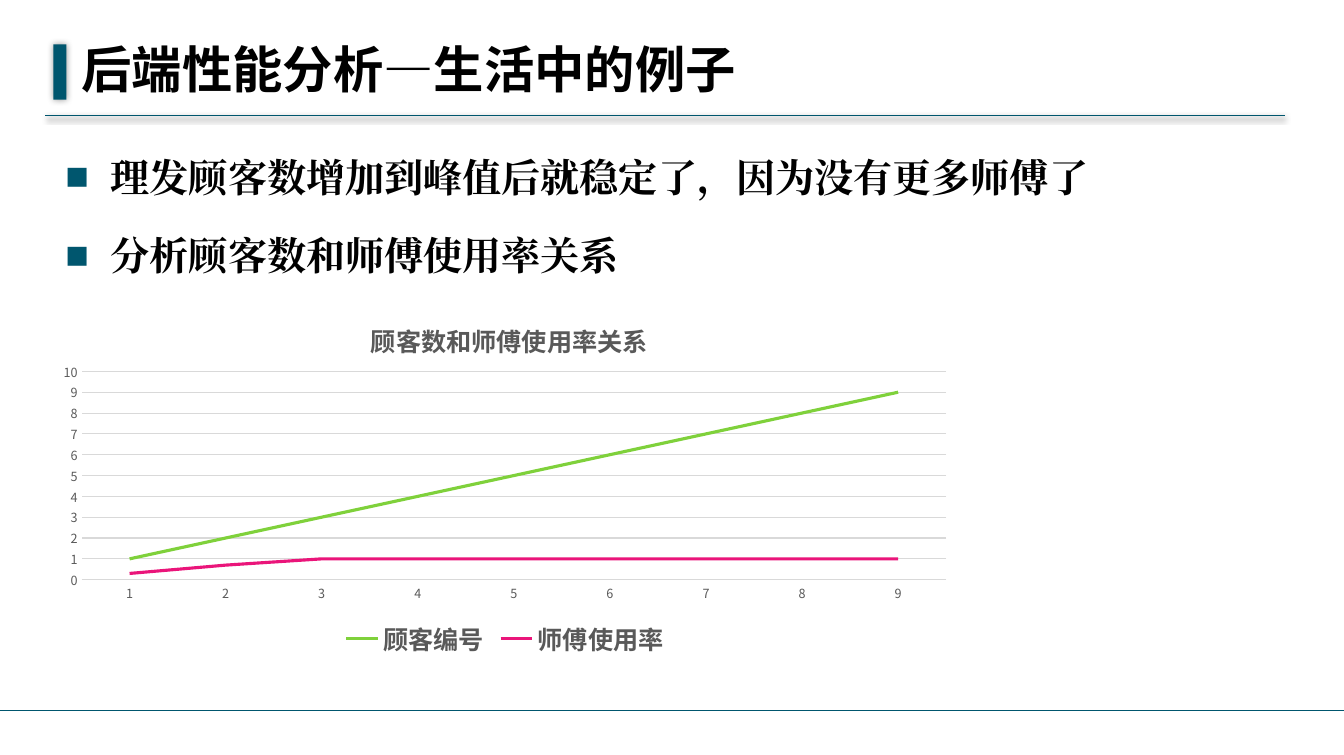
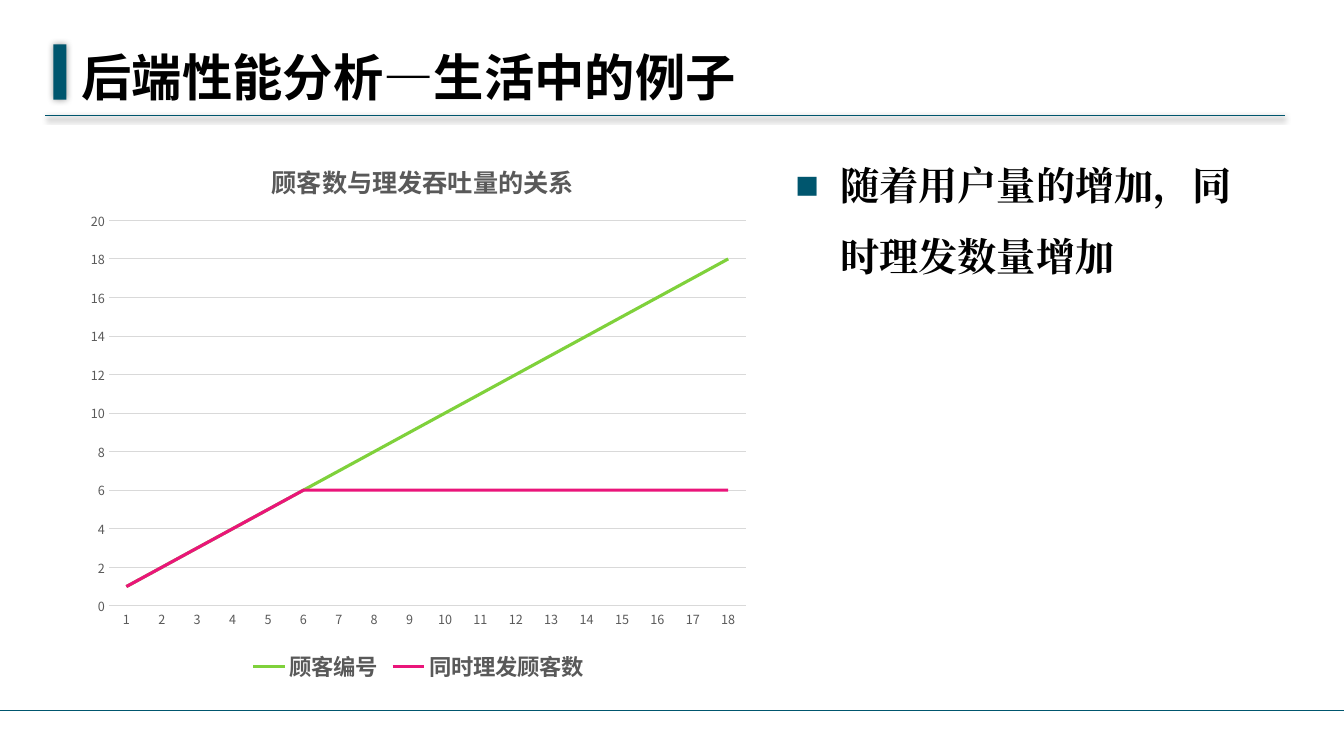
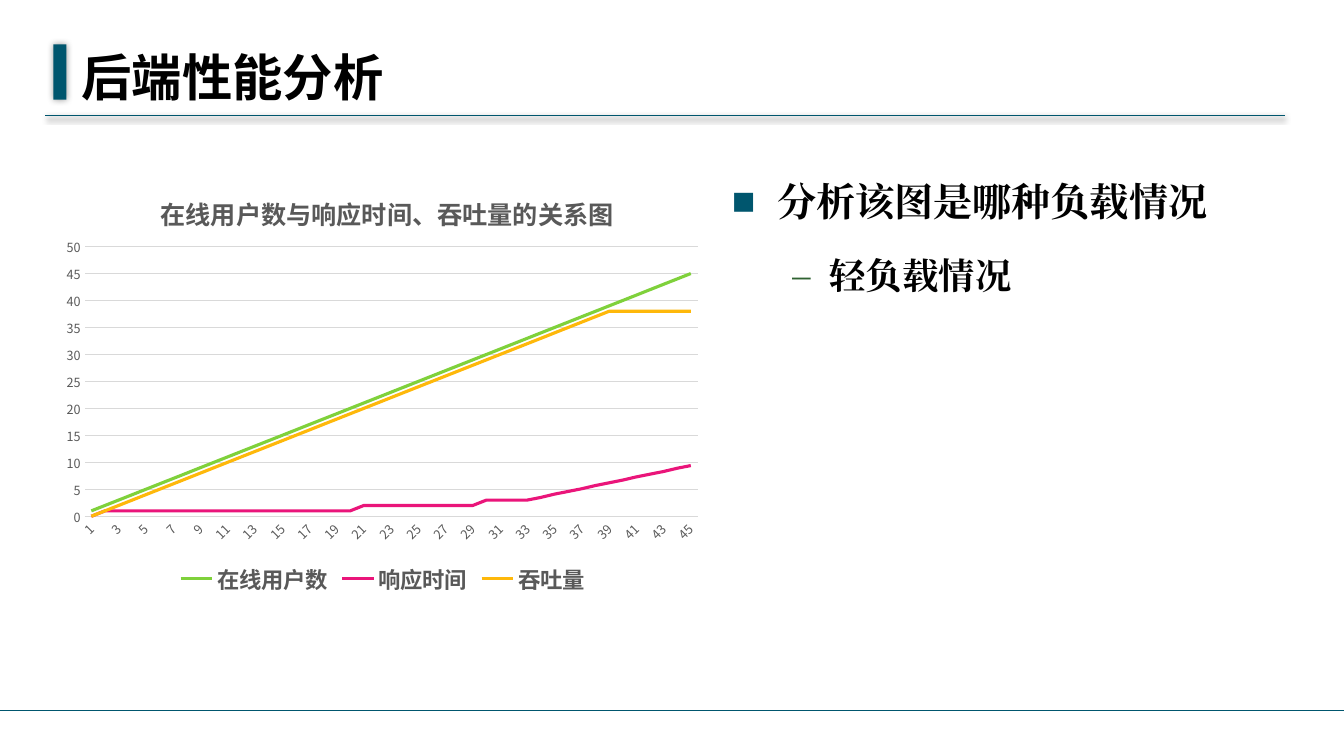
import lxml.etree
import pptx
import pptx.chart.data
import pptx.dml.color
import pptx.enum.chart
import pptx.enum.lang
import pptx.enum.shapes
import pptx.enum.text
import pptx.oxml.ns
import pptx.util

Inches, Pt = pptx.util.Inches, pptx.util.Pt
RGB = pptx.dml.color.RGBColor
qn = pptx.oxml.ns.qn

TEAL = RGB(0x00, 0x56, 0x6E)
DARK_GREEN = RGB(0x2F, 0x62, 0x31)
BLACK = RGB(0, 0, 0)
GREY = RGB(0x59, 0x59, 0x59)
GRID = RGB(0xD9, 0xD9, 0xD9)
SERIES_COLORS = [RGB(0x7F, 0xD1, 0x3B), RGB(0xEA, 0x15, 0x7A), RGB(0xFE, 0xB8, 0x0A)]
SANS, SERIF = "Noto Sans CJK SC", "Times New Roman"
WIDTH, HEIGHT = 13.35, 7.5

LEVELS = [
    {"size": 28, "bullet": "■", "color": TEAL, "margin": 0.45, "indent": -0.45},
    {"size": 26, "bullet": "–", "color": DARK_GREEN, "margin": 0.97, "indent": -0.37},
]

SLIDES = [
    {
        "title": "后端性能分析—生活中的例子",
        "title_top": 0.36,
        "body_at": (0.53, 1.23, 12.01, 5.51),
        "body": [(0, "理发顾客数增加到峰值后就稳定了，因为没有更多师傅了"),
                 (0, "分析顾客数和师傅使用率关系")],
        "chart": {
            "title": "顾客数和师傅使用率关系",
            "at": (0.45, 2.88, 9.13, 3.7),
            "plot": (0.81, 3.69, 8.59, 2.07),
            "max": 10, "unit": 1, "legend": 18, "rotation": 0,
            "series": [("顾客编号", list(range(1, 10))),
                       ("师傅使用率", [0.3, 0.7] + [1] * 7)],
        },
    },
    {
        "title": "后端性能分析—生活中的例子",
        "title_top": 0.44,
        "body_at": (7.78, 1.31, 4.9, 5.51),
        "body": [(0, "随着用户量的增加，同时理发数量增加")],
        "chart": {
            "title": "顾客数与理发吞吐量的关系",
            "at": (0.77, 1.31, 6.77, 5.51),
            "plot": (1.08, 2.19, 6.33, 3.83),
            "max": 20, "unit": 2, "legend": 16, "rotation": 0,
            "series": [("顾客编号", list(range(1, 19))),
                       ("同时理发顾客数", [min(n, 6) for n in range(1, 19)])],
        },
    },
    {
        "title": "后端性能分析",
        "title_top": 0.44,
        "body_at": (7.15, 1.47, 5.6, 5.51),
        "body": [(0, "分析该图是哪种负载情况"), (1, "轻负载情况")],
        "chart": {
            "title": "在线用户数与响应时间、吞吐量的关系图",
            "at": (0.53, 1.62, 6.54, 4.33),
            "plot": (0.84, 2.45, 6.09, 2.68),
            "max": 50, "unit": 5, "legend": 16, "rotation": -45,
            "series": [("在线用户数", list(range(1, 46))),
                       ("响应时间", [0] + [1] * 19 + [2] * 9 + [3] * 4
                        + [3.5, 4.1, 4.6, 5.1, 5.7, 6.2, 6.7, 7.3, 7.8, 8.3, 8.9, 9.4]),
                       ("吞吐量", [min(n, 38) for n in range(45)])],
        },
    },
]


def apply(obj, **values):
    for name, value in values.items():
        setattr(obj, name, value)


def style_font(font, size, color, bold, name):
    apply(font, size=Pt(size), bold=bold, name=name)
    font.color.rgb = color


def add_xml(parent, tag, **attrs):
    return lxml.etree.SubElement(parent, qn(tag), {k: str(v) for k, v in attrs.items()})


def set_effects(sp, alpha=0, blur=0, dist=0, angle=0):
    effects = add_xml(sp.element.spPr, "a:effectLst")
    if alpha:
        shadow = add_xml(effects, "a:outerShdw", blurRad=Pt(blur), dist=Pt(dist),
                         dir=angle * 60000, algn="ctr", rotWithShape=0)
        color = add_xml(shadow, "a:srgbClr", val=BLACK)
        add_xml(color, "a:alpha", val=alpha * 1000)


def add_rule(s, left, right, top, **shadow):
    sp = s.shapes.add_connector(pptx.enum.shapes.MSO_CONNECTOR.STRAIGHT,
                                Inches(left), Inches(top), Inches(right), Inches(top))
    sp.line.color.rgb = TEAL
    sp.line.width = Pt(1)
    set_effects(sp, **shadow)
    return sp


def decorate_layout(layout, s):
    bar = s.shapes.add_shape(pptx.enum.shapes.MSO_SHAPE.RECTANGLE,
                             Inches(0.53), Inches(0.44), Inches(0.13), Inches(0.55))
    bar.fill.solid()
    bar.fill.fore_color.rgb = TEAL
    bar.line.fill.background()
    set_effects(bar, alpha=40, blur=5)
    title_rule = add_rule(s, 0.45, 12.76, 1.15, alpha=42, blur=4, dist=1.6, angle=90)
    footer_rule = add_rule(s, 0, WIDTH, 7.06)
    for sp in (title_rule, bar, footer_rule):
        layout.element.cSld.spTree.append(sp.element)


def place(sp, at, anchor):
    apply(sp, **dict(zip(("left", "top", "width", "height"), map(Inches, at))))
    apply(sp.text_frame, word_wrap=True, auto_size=pptx.enum.text.MSO_AUTO_SIZE.NONE,
          vertical_anchor=anchor, margin_left=Inches(0.12), margin_right=Inches(0.12),
          margin_top=Inches(0.06), margin_bottom=Inches(0.06))


def write(p, text, size, name):
    p.alignment = pptx.enum.text.PP_ALIGN.LEFT
    r = p.add_run()
    r.text = text
    style_font(r.font, size, BLACK, True, name)
    r.font.language_id = pptx.enum.lang.MSO_LANGUAGE_ID.SIMPLIFIED_CHINESE
    add_xml(r.font._element, "a:ea", typeface=name)


def fill_body(sp, items):
    tf = sp.text_frame
    for i, (level, text) in enumerate(items):
        p = tf.add_paragraph() if i else tf.paragraphs[0]
        fmt = LEVELS[level]
        pPr = p._p.get_or_add_pPr()
        pPr.set("marL", str(Inches(fmt["margin"])))
        pPr.set("indent", str(Inches(fmt["indent"])))
        add_xml(add_xml(pPr, "a:buClr"), "a:srgbClr", val=fmt["color"])
        add_xml(pPr, "a:buFont", typeface=SERIF)
        add_xml(pPr, "a:buChar", char=fmt["bullet"])
        apply(p, level=level, line_spacing=1.5,
              space_before=Pt(0.2 * fmt["size"] if i else 0))
        write(p, text, fmt["size"], SERIF)


def set_layout(parent, index, **values):
    for old in parent.findall(qn("c:layout")):
        parent.remove(old)
    layout = add_xml(parent, "c:layout")
    manual = add_xml(layout, "c:manualLayout")
    for tag, value in values.items():
        add_xml(manual, "c:" + tag, val=value)
    parent.insert(index, layout)


def add_line_chart(s, info):
    data = pptx.chart.data.CategoryChartData()
    data.categories = [str(n + 1) for n in range(len(info["series"][0][1]))]
    for name, values in info["series"]:
        data.add_series(name, values)
    left, top, width, height = info["at"]
    chart = s.shapes.add_chart(pptx.enum.chart.XL_CHART_TYPE.LINE,
                               *map(Inches, info["at"]), data).chart
    style_font(chart.font, 10, BLACK, False, SANS)
    chart.plots[0].vary_by_categories = False
    for series, color in zip(chart.plots[0].series, SERIES_COLORS):
        series.smooth = False
        series.format.line.color.rgb = color
        series.format.line.width = Pt(2.25)

    chart.has_title = True
    p = chart.chart_title.text_frame.paragraphs[0]
    r = p.add_run()
    r.text = info["title"]
    style_font(r.font, 18, GREY, True, SANS)

    chart.has_legend = True
    apply(chart.legend, position=pptx.enum.chart.XL_LEGEND_POSITION.BOTTOM,
          include_in_layout=False)
    style_font(chart.legend.font, info["legend"], GREY, True, SANS)

    cat, val = chart.category_axis, chart.value_axis
    for axis in (cat, val):
        apply(axis, major_tick_mark=pptx.enum.chart.XL_TICK_MARK.NONE,
              minor_tick_mark=pptx.enum.chart.XL_TICK_MARK.NONE)
        style_font(axis.tick_labels.font, 9, GREY, False, SANS)
    apply(val, minimum_scale=0, maximum_scale=info["max"], major_unit=info["unit"],
          has_major_gridlines=True)
    val.format.line.fill.background()
    for line in (cat.format.line, val.major_gridlines.format.line):
        line.color.rgb = GRID
        line.width = Pt(0.75)

    root = chart.element
    if info["rotation"]:
        root.xpath("//c:catAx/c:txPr/a:bodyPr")[0].set("rot", str(info["rotation"] * 60000))
    for latin in root.xpath("//a:latin"):
        ea = add_xml(latin.getparent(), "a:ea", typeface=SANS)
        latin.addnext(ea)

    title_width = len(info["title"]) * 18 / 72
    set_layout(root.xpath("c:chart/c:title")[0], 1, xMode="edge", yMode="edge",
               x=(1 - title_width / width) / 2, y=0.24 / height)
    x, y, w, h = info["plot"]
    set_layout(root.xpath("c:chart/c:plotArea")[0], 0, layoutTarget="inner",
               xMode="edge", yMode="edge", x=(x - left) / width, y=(y - top) / height,
               w=w / width, h=h / height)


def main():
    prs = pptx.Presentation()
    prs.slide_width, prs.slide_height = Inches(WIDTH), Inches(HEIGHT)
    layout = prs.slide_layouts[1]
    anchors = pptx.enum.text.MSO_ANCHOR
    for i, info in enumerate(SLIDES):
        s = prs.slides.add_slide(layout)
        if i == 0:
            decorate_layout(layout, s)
        title, body = s.shapes.title, s.placeholders[1]
        place(title, (0.69, info["title_top"], 9.05, 0.63), anchors.MIDDLE)
        write(title.text_frame.paragraphs[0], info["title"], 36, SANS)
        place(body, info["body_at"], anchors.TOP)
        fill_body(body, info["body"])
        add_line_chart(s, info["chart"])
    prs.save("out.pptx")


if __name__ == "__main__":
    main()
